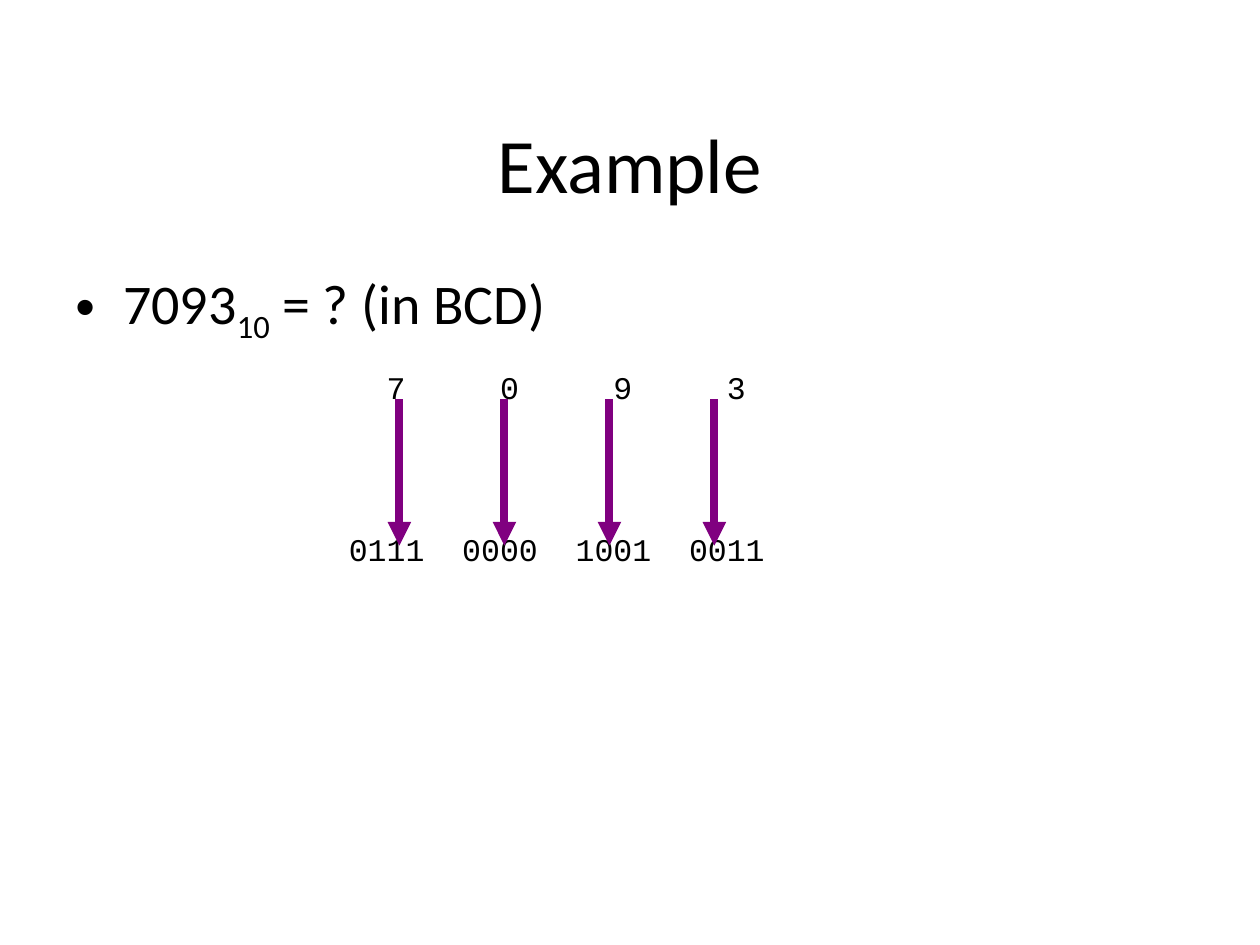
import pptx
import pptx.util
import pptx.dml.color
import pptx.enum.dml
import pptx.enum.shapes
import pptx.enum.text
import pptx.oxml
import pptx.oxml.ns
from pptx.util import Inches

COLORS = {"text": "000000", "arrow": "800080", "background": "FFFFFF"}
FORMATS = {
    "title": {"size": pptx.util.Pt(44), "name": "Calibri"},
    "body": {"size": pptx.util.Pt(32), "name": "Calibri"},
    "code": {"size": pptx.util.Pt(18), "name": "Courier New"},
}
DIGITS = ["7", "0", "9", "3"]
CHAR_WIDTH = 0.15
COLUMN_CHARS = 6


def rgb(key):
    return pptx.dml.color.RGBColor.from_string(COLORS[key])


def element(parent, tag, **attributes):
    child = pptx.oxml.parse_xml(f"<{tag} {pptx.oxml.ns.nsdecls('a')}/>")
    for name, value in attributes.items():
        child.set(name, str(value))
    parent.append(child)
    return child


def add_run(p, text, style):
    r = p.add_run()
    r.text = text
    for name, value in FORMATS[style].items():
        setattr(r.font, name, value)
    r.font.color.rgb = rgb("text")
    return r


def space_before_percent(p, percent):
    spacing = element(p._p.get_or_add_pPr(), "a:spcBef")
    element(spacing, "a:spcPct", val=percent * 1000)


def add_title(s, text):
    sp = s.shapes.title
    sp.left, sp.top, sp.width, sp.height = map(Inches, (0.5, 0.67, 9, 1.25))
    tf = sp.text_frame
    tf.vertical_anchor = pptx.enum.text.MSO_ANCHOR.MIDDLE
    p = tf.paragraphs[0]
    p.alignment = pptx.enum.text.PP_ALIGN.CENTER
    add_run(p, text, "title")


def add_text_box(s, *box):
    tf = s.shapes.add_textbox(*map(Inches, box)).text_frame
    tf.word_wrap = True
    return tf


def add_question(s):
    p = add_text_box(s, 0.5, 2.08, 9, 4.62).paragraphs[0]
    space_before_percent(p, 20)
    pPr = p._p.get_or_add_pPr()
    pPr.set("marL", str(Inches(0.38)))
    pPr.set("indent", str(-Inches(0.38)))
    element(pPr, "a:buFont", typeface="Arial")
    element(pPr, "a:buChar", char="•")
    add_run(p, "7093", "body")
    base = add_run(p, "10", "body")
    base.font._element.set("baseline", "-25000")
    add_run(p, " = ? (in BCD)", "body")


def add_columns(p, values, first_center):
    tabs = element(p._p.get_or_add_pPr(), "a:tabLst")
    for i in range(len(values)):
        center = (first_center + COLUMN_CHARS * i) * CHAR_WIDTH
        element(tabs, "a:tab", pos=Inches(center), algn="ctr")
    add_run(p, "".join("\t" + value for value in values), "code")


def add_conversion(s):
    tf = add_text_box(s, 2.67, 2.87, 4.75, 2.3)
    p = tf.paragraphs[0]
    space_before_percent(p, 50)
    add_columns(p, DIGITS, 2.5)
    p = tf.add_paragraph()
    p.space_before = pptx.util.Pt(71)
    add_columns(p, [f"{int(digit):04b}" for digit in DIGITS], 2)


def add_arrow(s, x, top, bottom):
    line = s.shapes.add_connector(
        pptx.enum.shapes.MSO_CONNECTOR.STRAIGHT,
        Inches(x), Inches(top), Inches(x), Inches(bottom))
    line.line.color.rgb = rgb("arrow")
    line.line.width = pptx.util.Pt(4.5)
    element(line.line._get_or_add_ln(), "a:tailEnd", type="triangle")
    element(line._element.spPr, "a:effectLst")


def main():
    prs = pptx.Presentation()
    prs.slide_width, prs.slide_height = Inches(10), Inches(7.5)
    s = prs.slides.add_slide(prs.slide_layouts[5])
    s.background.fill.solid()
    s.background.fill.fore_color.rgb = rgb("background")
    add_title(s, "Example")
    add_question(s)
    add_conversion(s)
    for i in range(len(DIGITS)):
        add_arrow(s, 3.17 + i * 2.5 / 3, 3.17, 4.33)
    prs.save("out.pptx")


if __name__ == "__main__":
    main()
